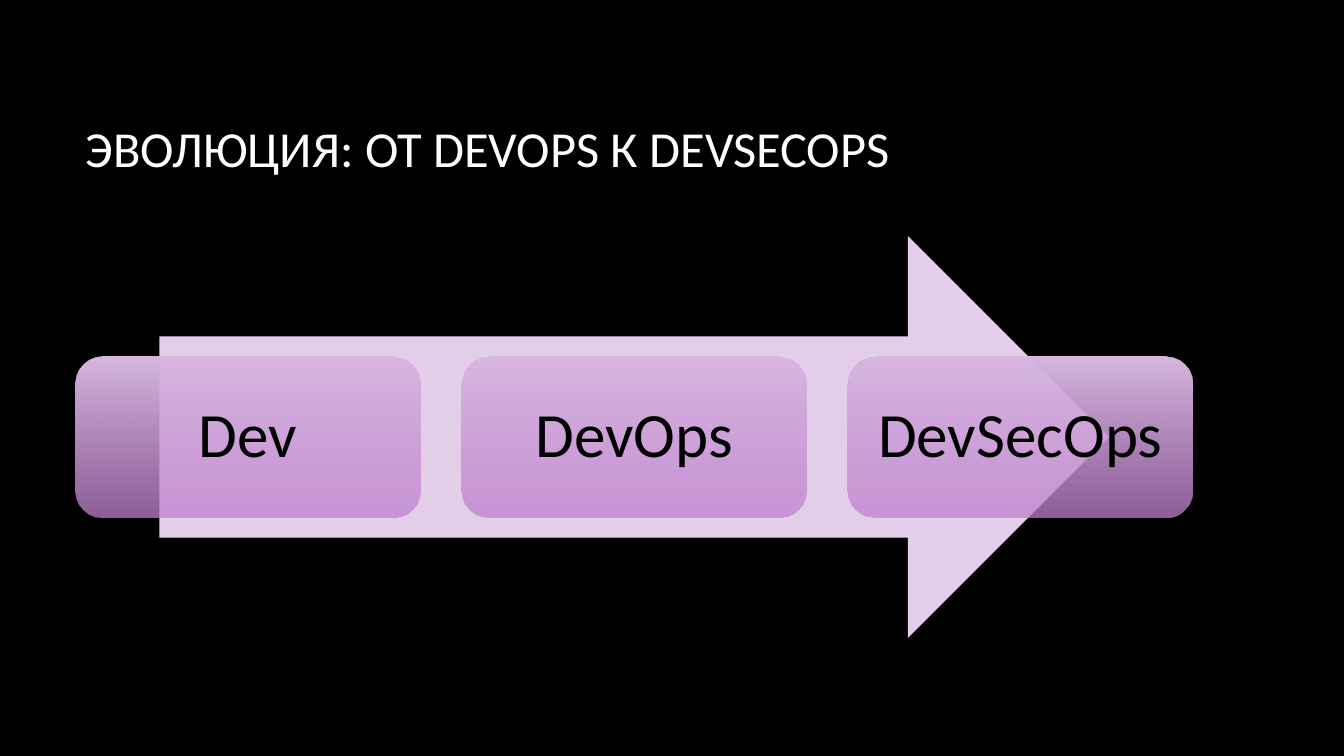
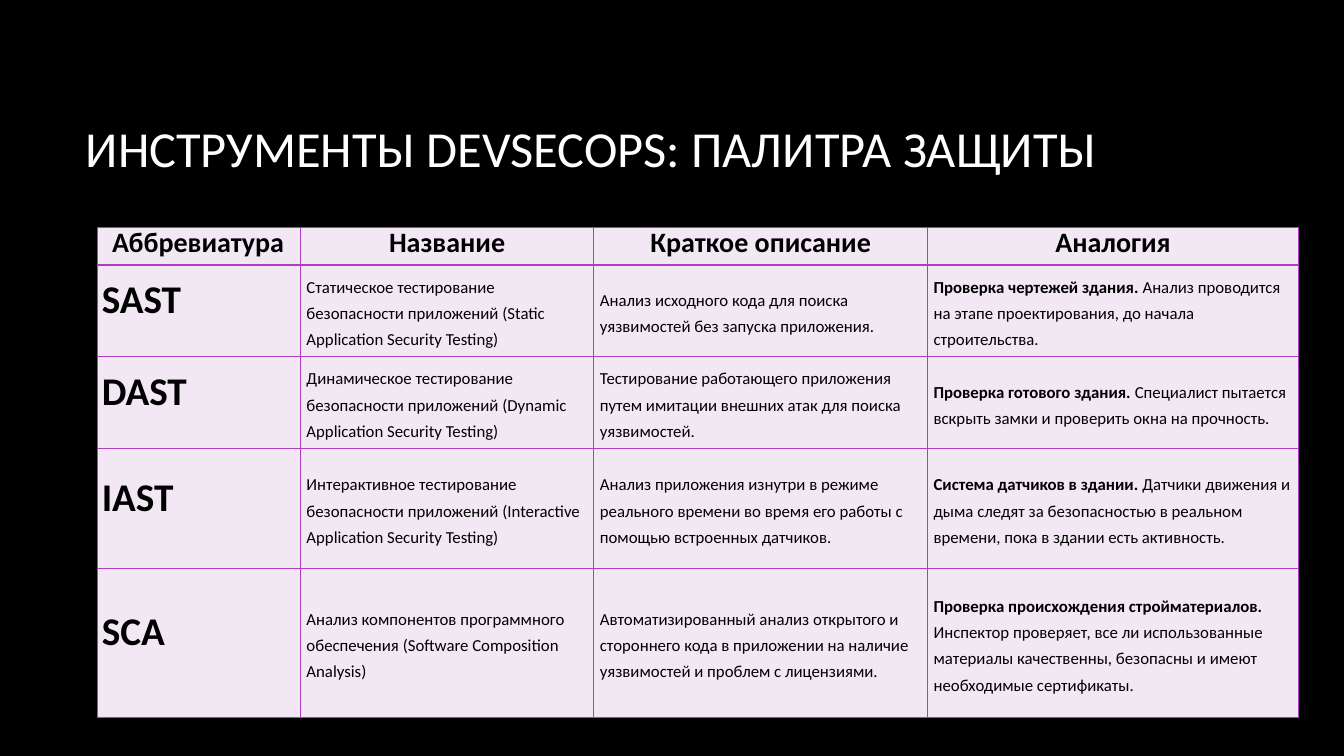
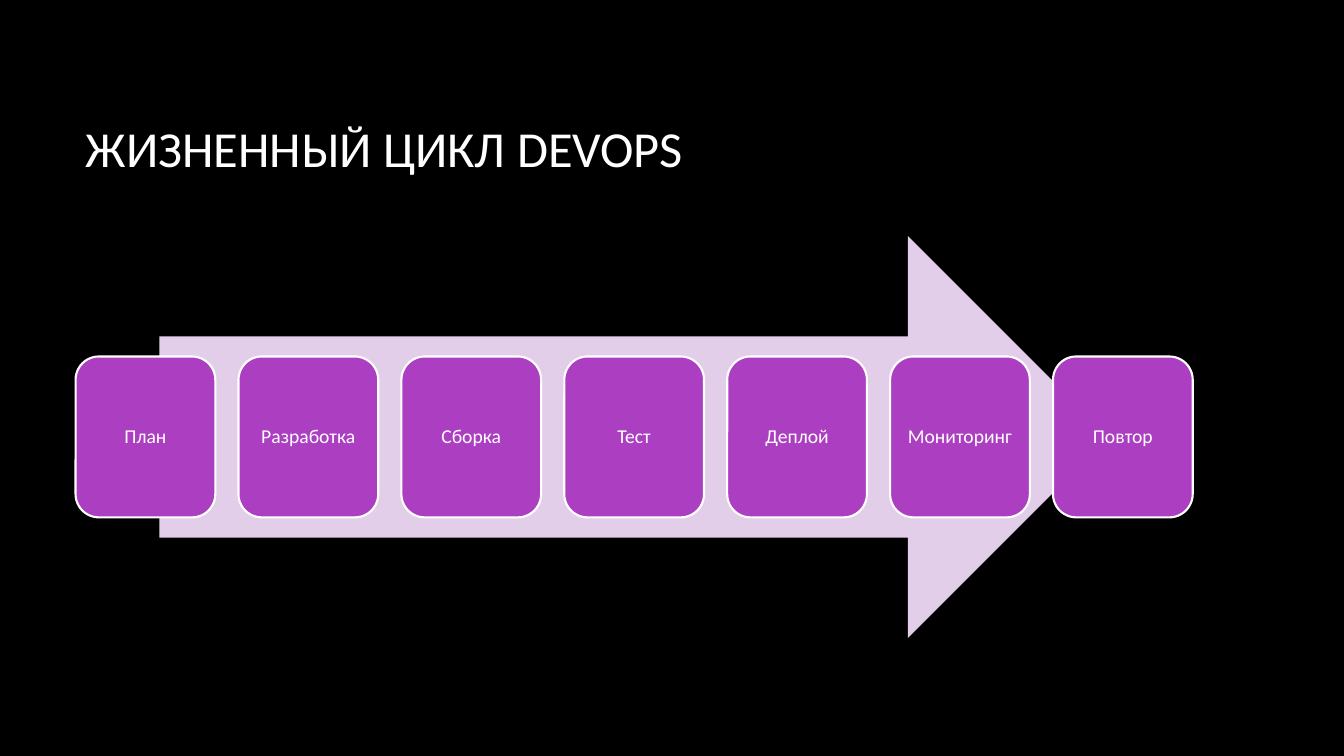
from lxml.etree import SubElement
from pptx import Presentation
from pptx.dml.color import RGBColor
from pptx.enum.shapes import MSO_SHAPE
from pptx.enum.text import MSO_ANCHOR, PP_ALIGN
from pptx.oxml import parse_xml
from pptx.oxml.ns import nsdecls, qn
from pptx.util import Inches, Pt

FONT = "Calibri"
BLACK, WHITE = "000000", "FFFFFF"
ACCENT, ARROW, CELL = "AC3EC1", "E3CEE9", "F1E8F4"
GRADIENT = [("D8B7E1", 100), ("BF82CE", 74)]

WIDTH, HEIGHT = 13.33, 7.5
LEFT, CONTENT_W = 0.75, 11.08
TITLE_BOX = (LEFT, 0.67, CONTENT_W, 1.59)
ARROW_TOP, ARROW_H, ARROW_SHARE = 2.34, 3.99, 0.85
STEP_SHARE = 0.4

EVOLUTION = {
    "title": "ЭВОЛЮЦИЯ: ОТ DEVOPS К DEVSECOPS",
    "steps": ["Dev", "DevOps", "DevSecOps"],
    "gap": 0.41, "size": 45, "color": BLACK, "inset": 0.19, "gradient": True,
}
LIFECYCLE = {
    "title": "ЖИЗНЕННЫЙ ЦИКЛ DEVOPS",
    "steps": ["План", "Разработка", "Сборка", "Тест", "Деплой", "Мониторинг", "Повтор"],
    "gap": 0.23, "size": 14, "color": WHITE, "inset": 0.06, "gradient": False,
}

TOOLS_TITLE = "ИНСТРУМЕНТЫ DEVSECOPS: ПАЛИТРА ЗАЩИТЫ"
TABLE_AT = (0.97, 2.26)
COLS = [2.01, 2.91, 3.31, 3.68]
ROWS = [0.37, 0.91, 0.91, 1.19, 1.48]
HEADERS = ["Аббревиатура", "Название", "Краткое описание", "Аналогия"]
TOOLS = [
    ("SAST",
     "Статическое тестирование безопасности приложений (Static Application Security Testing)",
     "Анализ исходного кода для поиска уязвимостей без запуска приложения.",
     "Проверка чертежей здания.",
     "Анализ проводится на этапе проектирования, до начала строительства."),
    ("DAST",
     "Динамическое тестирование безопасности приложений (Dynamic Application Security Testing)",
     "Тестирование работающего приложения путем имитации внешних атак для поиска уязвимостей.",
     "Проверка готового здания.",
     "Специалист пытается вскрыть замки и проверить окна на прочность."),
    ("IAST",
     "Интерактивное тестирование безопасности приложений (Interactive Application Security Testing)",
     "Анализ приложения изнутри в режиме реального времени во время его работы с помощью встроенных датчиков.",
     "Система датчиков в здании.",
     "Датчики движения и дыма следят за безопасностью в реальном времени, пока в здании есть активность."),
    ("SCA",
     "Анализ компонентов программного обеспечения (Software Composition Analysis)",
     "Автоматизированный анализ открытого и стороннего кода в приложении на наличие уязвимостей и проблем с лицензиями.",
     "Проверка происхождения стройматериалов.",
     "Инспектор проверяет, все ли использованные материалы качественны, безопасны и имеют необходимые сертификаты."),
]


def rgb(value):
    return RGBColor.from_string(value)


def assign(target, values):
    for name, value in values.items():
        setattr(target, name, value)


def solid(fill, color):
    fill.solid()
    fill.fore_color.rgb = rgb(color)


def add_run(p, text, size, color, bold=False):
    r = p.add_run()
    r.text = text
    assign(r.font, {"name": FONT, "size": Pt(size), "bold": bold})
    r.font.color.rgb = rgb(color)


def add_slide(prs, title):
    s = prs.slides.add_slide(prs.slide_layouts[5])
    sp = s.shapes.title
    assign(sp, dict(zip(("left", "top", "width", "height"), map(Inches, TITLE_BOX))))
    sp.text_frame.vertical_anchor = MSO_ANCHOR.MIDDLE
    p = sp.text_frame.paragraphs[0]
    p.alignment = PP_ALIGN.LEFT
    add_run(p, title, 36, WHITE)
    return s


def add_shape(s, kind, box):
    sp = s.shapes.add_shape(kind, *map(Inches, box))
    sp.shadow.inherit = False
    sp.line.fill.background()
    return sp


def fill_gradient(fill):
    fill.gradient()
    fill.gradient_angle = 270
    for stop, (color, opacity) in zip(fill.gradient_stops, GRADIENT):
        stop.color.rgb = rgb(color)
    last = fill._xPr.findall(".//" + qn("a:srgbClr"))[-1]
    SubElement(last, qn("a:alpha")).set("val", str(opacity * 1000))


def add_process(prs, spec_data):
    s = add_slide(prs, spec_data["title"])
    arrow_w = CONTENT_W * ARROW_SHARE
    arrow_left = LEFT + (CONTENT_W - arrow_w) / 2
    arrow = add_shape(s, MSO_SHAPE.RIGHT_ARROW, (arrow_left, ARROW_TOP, arrow_w, ARROW_H))
    solid(arrow.fill, ARROW)

    steps, gap = spec_data["steps"], spec_data["gap"]
    step_w = (CONTENT_W - gap * (len(steps) - 1)) / len(steps)
    step_h = ARROW_H * STEP_SHARE
    step_top = ARROW_TOP + (ARROW_H - step_h) / 2
    inset = Inches(spec_data["inset"])
    for i, text in enumerate(steps):
        box = (LEFT + i * (step_w + gap), step_top, step_w, step_h)
        sp = add_shape(s, MSO_SHAPE.ROUNDED_RECTANGLE, box)
        if spec_data["gradient"]:
            fill_gradient(sp.fill)
        else:
            solid(sp.fill, ACCENT)
            solid(sp.line.fill, WHITE)
            sp.line.width = Pt(1.5)
        tf = sp.text_frame
        assign(tf, {"word_wrap": True, "vertical_anchor": MSO_ANCHOR.MIDDLE,
                    "margin_left": inset, "margin_right": inset,
                    "margin_top": inset, "margin_bottom": inset})
        p = tf.paragraphs[0]
        assign(p, {"alignment": PP_ALIGN.CENTER, "line_spacing": 0.9})
        add_run(p, text, spec_data["size"], spec_data["color"])


def add_borders(cell):
    tc_pr = cell._tc.get_or_add_tcPr()
    for i, side in enumerate("LRTB"):
        tc_pr.insert(i, parse_xml(
            f'<a:ln{side} {nsdecls("a")} w="{Pt(1)}"><a:solidFill>'
            f'<a:srgbClr val="{ACCENT}"/></a:solidFill></a:ln{side}>'))


def add_tools(prs):
    s = add_slide(prs, TOOLS_TITLE)
    table = s.shapes.add_table(len(ROWS), len(COLS), *map(
        Inches, (*TABLE_AT, sum(COLS), sum(ROWS)))).table
    assign(table, {"first_row": False, "horz_banding": False})
    for column, width in zip(table.columns, COLS):
        column.width = Inches(width)
    for row, height in zip(table.rows, ROWS):
        row.height = Inches(height)

    rows = [[[(text, 20, True)] for text in HEADERS]]
    for short, name, summary, analogy, detail in TOOLS:
        rows.append([[(short, 28, True)], [(name, 12, False)], [(summary, 12, False)],
                     [(analogy, 12, True), (f" {detail}", 12, False)]])
    for i, row in enumerate(rows):
        for j, runs in enumerate(row):
            cell = table.cell(i, j)
            solid(cell.fill, CELL)
            add_borders(cell)
            right = 0.04 if i and j == len(COLS) - 1 else 0.06
            assign(cell, {"vertical_anchor": MSO_ANCHOR.MIDDLE,
                          "margin_left": Inches(0.06 if j else 0.04),
                          "margin_right": Inches(right),
                          "margin_top": Inches(0.04), "margin_bottom": Inches(0.04)})
            p = cell.text_frame.paragraphs[0]
            assign(p, {"alignment": PP_ALIGN.LEFT if i else PP_ALIGN.CENTER,
                       "line_spacing": Pt(18.8)})
            for text, size, bold in runs:
                add_run(p, text, size, BLACK, bold)


def main():
    prs = Presentation()
    assign(prs, {"slide_width": Inches(WIDTH), "slide_height": Inches(HEIGHT)})
    solid(prs.slide_master.background.fill, BLACK)
    add_process(prs, EVOLUTION)
    add_tools(prs)
    add_process(prs, LIFECYCLE)
    prs.save("out.pptx")


if __name__ == "__main__":
    main()
